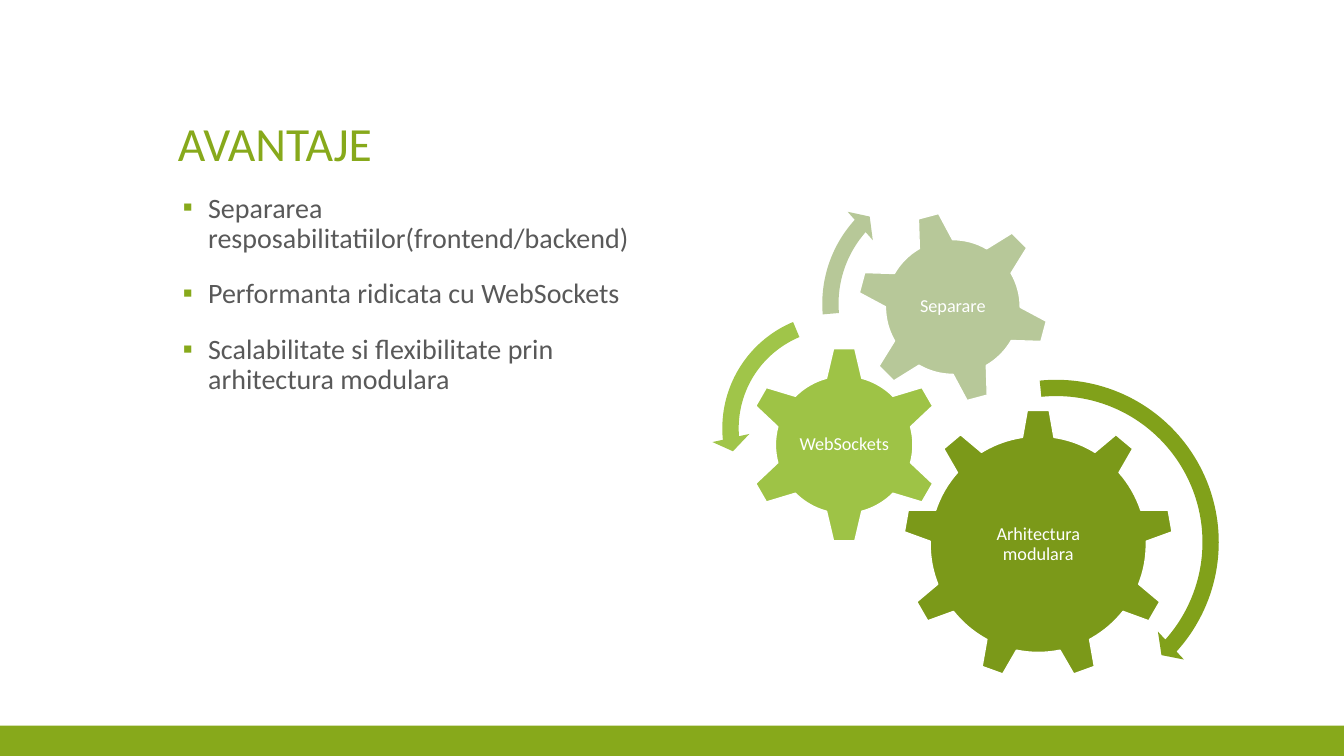
from lxml import etree
from pptx import Presentation, util as u
from pptx.dml.color import RGBColor
from pptx.enum import shapes, text
from pptx.oxml.ns import qn

COLORS = {
    "accent": "87A91B", "body": "595959", "white": "FFFFFF",
    "modular": "7B9919", "sockets": "9EC346", "separation": "B7C899",
    "modular_arrow": "81A11A", "sockets_arrow": "A0C549", "separation_arrow": "B7C898",
}
SHAPE = shapes.MSO_SHAPE
ANCHOR = text.MSO_ANCHOR
ALIGN = text.PP_ALIGN


class SlideBuilder:
    def __init__(self, slide, font):
        self.s = slide
        self.font = font

    def color(self, name):
        return RGBColor.from_string(COLORS[name])

    def shape(self, kind, box, fill, line=None, rotation=0, adjustments=()):
        sp = self.s.shapes.add_shape(kind, *map(u.Pt, box))
        sp.shadow.inherit = False
        sp.fill.solid()
        sp.fill.fore_color.rgb = self.color(fill)
        if line:
            sp.line.color.rgb = self.color(line)
            sp.line.width = u.Pt(1)
        else:
            sp.line.fill.background()
        sp.rotation = rotation
        for i, value in enumerate(adjustments):
            sp.adjustments[i] = value
        return sp

    def text(self, box, lines, size, color, anchor=ANCHOR.TOP, align=ALIGN.LEFT,
             insets=(7.2, 3.6), before=0, bullet=None):
        tf = self.s.shapes.add_textbox(*map(u.Pt, box)).text_frame
        tf.word_wrap = True
        tf.vertical_anchor = anchor
        tf.margin_left = tf.margin_right = u.Pt(insets[0])
        tf.margin_top = tf.margin_bottom = u.Pt(insets[1])
        for i, line in enumerate(lines):
            p = tf.add_paragraph() if i else tf.paragraphs[0]
            p.alignment = align
            p.line_spacing = 0.9
            p.space_before = u.Pt(before)
            if bullet:
                self.bullet(p, bullet)
            r = p.add_run()
            r.text = line
            r.font.name = self.font
            r.font.size = u.Pt(size)
            r.font.color.rgb = self.color(color)

    def bullet(self, p, char):
        pPr = p._p.get_or_add_pPr()
        pPr.set("marL", str(u.Pt(21.6)))
        pPr.set("indent", str(u.Pt(-18)))
        clr = etree.SubElement(pPr, qn("a:buClr"))
        etree.SubElement(clr, qn("a:srgbClr"), val=COLORS["accent"])
        etree.SubElement(pPr, qn("a:buFont"), typeface=self.font)
        etree.SubElement(pPr, qn("a:buChar"), char=char)

    def gear(self, kind, center, size, fill, label, label_size, rotation=0):
        x, y = center
        self.shape(kind, (x - size / 2, y - size / 2, size, size), fill, "white", rotation)
        w, h = label_size
        self.text((x - w / 2, y - h / 2, w, h), [label], 13, "white",
                  ANCHOR.MIDDLE, ALIGN.CENTER, (1.44, 1.44))

    def arrow(self, kind, left, top, size, fill, adjustments):
        self.shape(kind, (left, top, size, size), fill, adjustments=adjustments)


def main():
    prs = Presentation()
    prs.slide_width, prs.slide_height = u.Pt(960), u.Pt(540)
    b = SlideBuilder(prs.slides.add_slide(prs.slide_layouts[6]), "Calibri")

    b.shape(SHAPE.RECTANGLE, (0, 518.4, 960, 21.6), "accent")
    b.text((120, 36, 720, 90), ["AVANTAJE"], 34, "accent", ANCHOR.BOTTOM)
    b.text((120, 135, 354, 351), [
        "Separarea resposabilitatiilor(frontend/backend)",
        "Performanta ridicata cu WebSockets",
        "Scalabilitate si flexibilitate prin arhitectura modulara",
    ], 20, "body", before=18, bullet="▪")

    gears = [
        (SHAPE.GEAR_9, (741.6, 388.8), 193, "modular", "Arhitectura modulara", (115, 99), 0),
        (SHAPE.GEAR_6, (603, 317.7), 140.4, "sockets", "WebSockets", (70, 69), 0),
        (SHAPE.GEAR_6, (680.6, 219.3), 137.5, "separation", "Separare", (77, 77), 345),
    ]
    for gear in gears:
        b.gear(*gear)

    arrows = [
        (SHAPE.CIRCULAR_ARROW, 630.7, 263.5, 247.7, "modular_arrow",
         (0.047, 2.99, 25.222, 158.482, 0.055)),
        (SHAPE.LEFT_CIRCULAR_ARROW, 508.3, 216, 180, "sockets_arrow",
         (0.065, 4.3, 104.891, 148.378, 0.075)),
        (SHAPE.CIRCULAR_ARROW, 579.6, 120.2, 193.7, "separation_arrow",
         (0.06, 3.941, 133.138, 105.082, 0.07)),
    ]
    for arrow in arrows:
        b.arrow(*arrow)

    prs.save("out.pptx")


if __name__ == "__main__":
    main()
